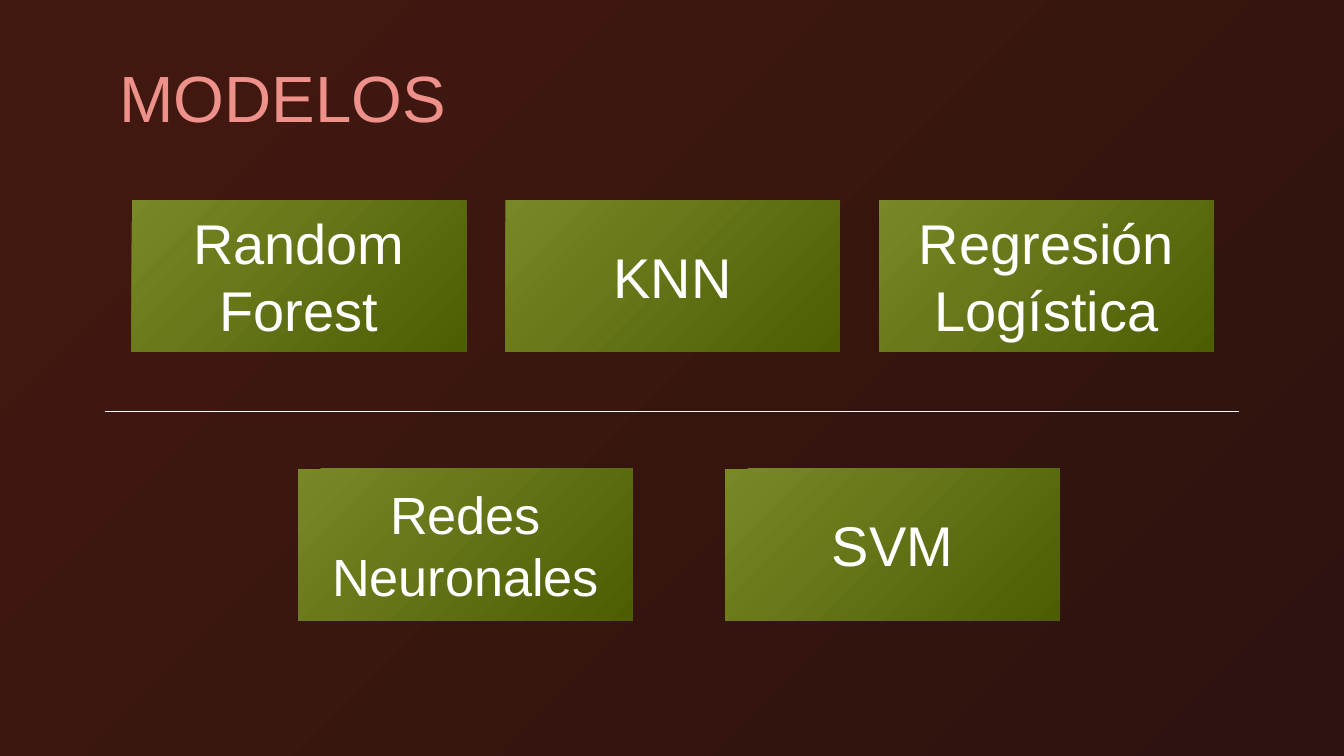
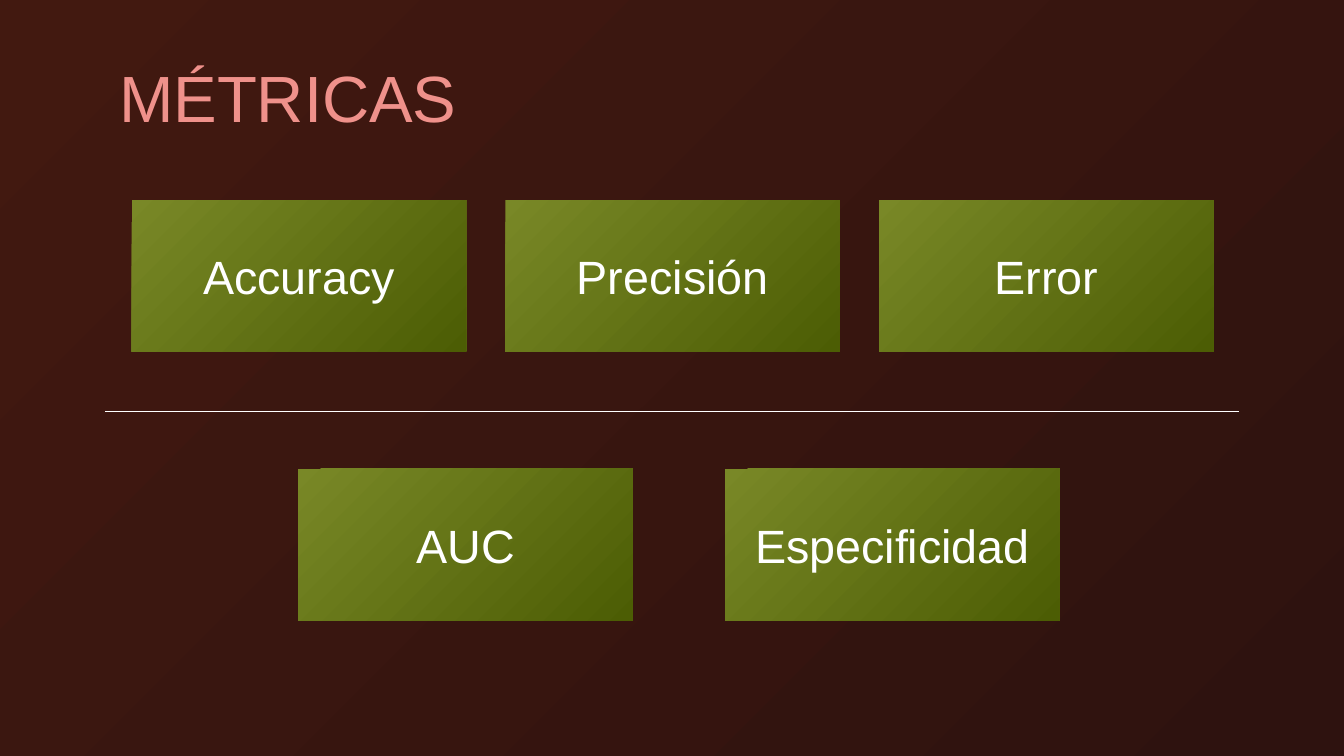
from lxml.etree import SubElement
from pptx import Presentation
from pptx.dml.color import RGBColor
from pptx.enum.shapes import MSO_CONNECTOR, MSO_SHAPE
from pptx.enum.text import MSO_ANCHOR, MSO_AUTO_SIZE, PP_ALIGN
from pptx.oxml.ns import qn
from pptx.util import Pt

PX = 9525
FONT = "Arial"
PAD = 10
DARK = RGBColor(0x42, 0x19, 0x10), RGBColor(0x2E, 0x12, 0x0F)
GREEN = RGBColor(0x79, 0x88, 0x27), RGBColor(0x4C, 0x5D, 0x04)
PINK = RGBColor(0xEF, 0x91, 0x8B)
WHITE = RGBColor(0xFF, 0xFF, 0xFF)
CARD = 239, 108
ROWS = (94, 143, 267), (213, 335, 305)
PAGES = [
    ("MODELOS", [
        [("Random Forest", 30), ("KNN", 30), ("Regresión Logística", 30)],
        [("Redes Neuronales", 28), ("SVM", 30)],
    ]),
    ("MÉTRICAS", [
        [("Accuracy", 25), ("Precisión", 25), ("Error", 25)],
        [("AUC", 25), ("Especificidad", 25)],
    ]),
]


def px(*nums):
    return [num * PX for num in nums]


def shade(fill, tones):
    fill.gradient()
    fill.gradient_angle = 315
    for stop, tone in zip(fill.gradient_stops, tones):
        stop.color.rgb = tone


def write(shape, text, size, color, align, anchor):
    frame = shape.text_frame
    frame.text = text
    frame.word_wrap = True
    frame.auto_size = MSO_AUTO_SIZE.NONE
    frame.vertical_anchor = anchor
    frame.margin_left = frame.margin_right = PAD * PX
    frame.margin_top = frame.margin_bottom = PAD * PX
    para = frame.paragraphs[0]
    para.alignment = align
    para.font.name = FONT
    para.font.size = Pt(size)
    para.font.color.rgb = color


def add_title(slide, text):
    title = slide.shapes.title
    title.left, title.top, title.width, title.height = px(75, 31, 809, 60)
    write(title, text, 35, PINK, PP_ALIGN.LEFT, MSO_ANCHOR.TOP)


def add_rule(slide):
    rule = slide.shapes.add_connector(
        MSO_CONNECTOR.STRAIGHT, *px(75, 294, 885, 294))
    rule.line.color.rgb = WHITE
    rule.line.width = Pt(0.75)
    SubElement(rule.element.spPr, qn("a:effectLst"))


def add_card(slide, left, top, text, size):
    card = slide.shapes.add_shape(
        MSO_SHAPE.RECTANGLE, *px(left, top, *CARD))
    card.shadow.inherit = False
    shade(card.fill, GREEN)
    card.line.fill.background()
    write(card, text, size, WHITE, PP_ALIGN.CENTER, MSO_ANCHOR.MIDDLE)


def main():
    deck = Presentation()
    deck.slide_width, deck.slide_height = px(960, 540)
    shade(deck.slide_master.background.fill, DARK)
    for title, rows in PAGES:
        slide = deck.slides.add_slide(deck.slide_layouts[5])
        add_title(slide, title)
        add_rule(slide)
        for (left, top, step), cards in zip(ROWS, rows):
            for i, (text, size) in enumerate(cards):
                add_card(slide, left + i * step, top, text, size)
    deck.save("out.pptx")


if __name__ == "__main__":
    main()
